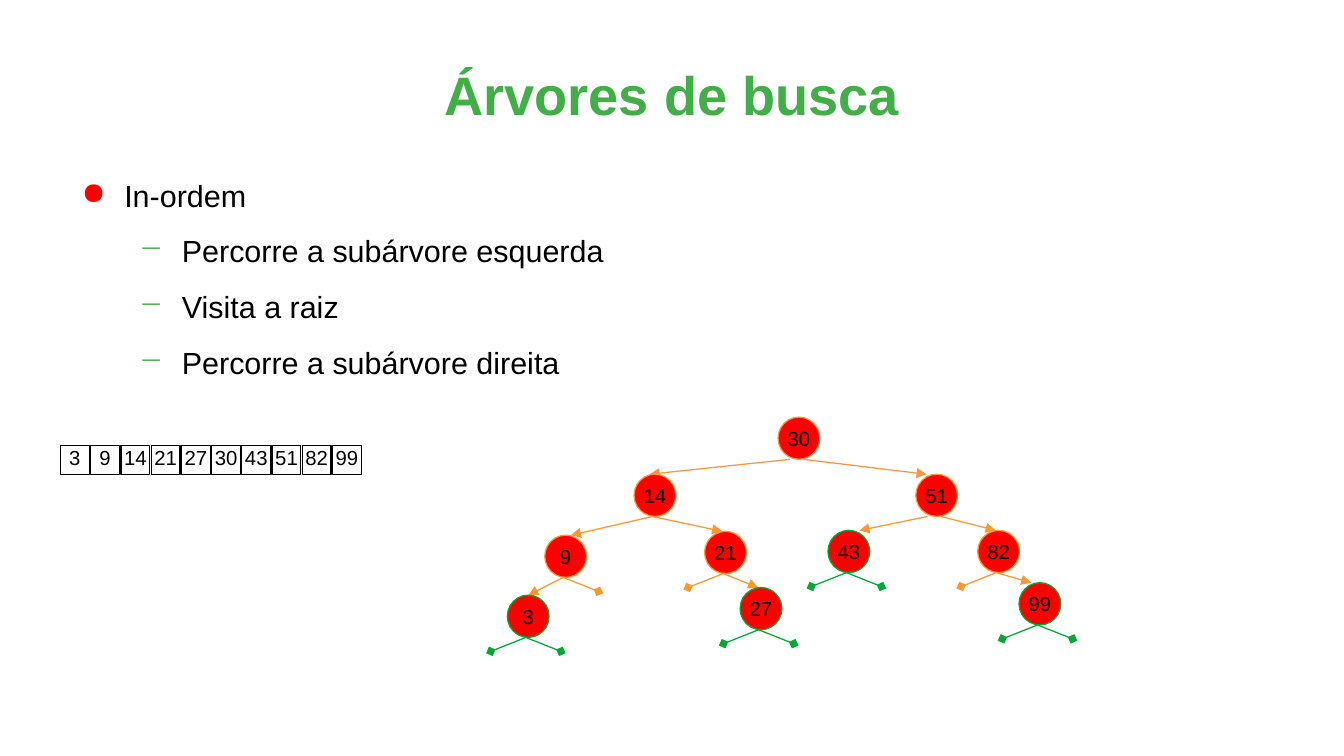
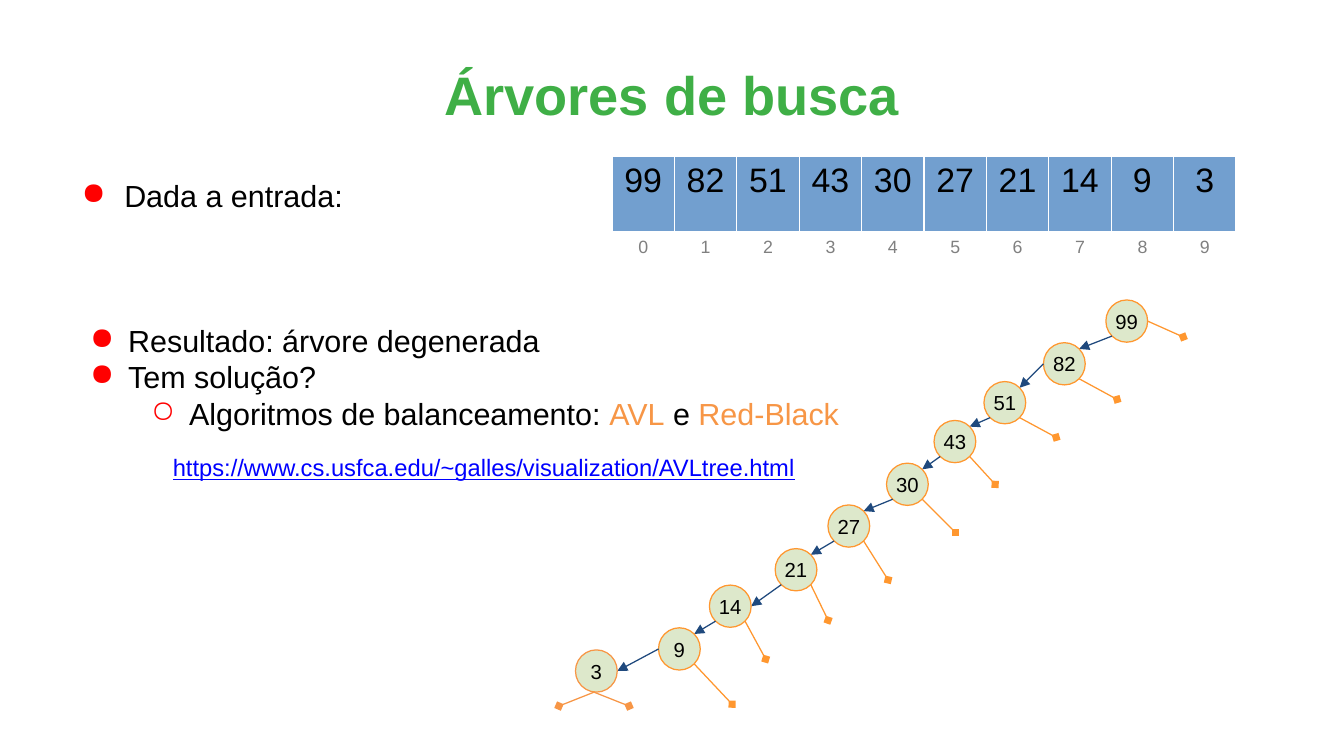
"""Builds two slides on search trees: in-order traversal and the degenerate tree."""
from dataclasses import dataclass
from math import cos, radians, sin

from lxml.etree import SubElement
from pptx import Presentation
from pptx.dml.color import RGBColor
from pptx.enum.shapes import MSO_CONNECTOR, MSO_SHAPE
from pptx.enum.text import MSO_ANCHOR, MSO_AUTO_SIZE, PP_ALIGN
from pptx.oxml import parse_xml
from pptx.oxml.ns import nsdecls, qn
from pptx.util import Cm, Pt


@dataclass(frozen=True)
class Theme:
    font: str = "Arial"
    green: str = "3FAF46"
    leaf: str = "00A933"
    red: str = "FF0000"
    orange: str = "FF972F"
    accent: str = "F79646"
    navy: str = "1F497D"
    pale: str = "DDE8CB"
    blue: str = "729FCF"
    link: str = "0000FF"
    grey: str = "808080"
    black: str = "000000"
    white: str = "FFFFFF"
    title: float = 32
    body: float = 18
    entry: float = 20
    address: float = 14
    node: float = 12
    index: float = 10.5
    line: float = 0.75


THEME = Theme()
SLIDE_SIZE = (28, 15.75)
TITLE = "Árvores de busca"
TITLE_BOX = (1.4, 0.64, 25.2, 2.64)
BODY_BOX = (1.4, 3.68, 25.2, 5.8)
NODE_W, NODE_H = 0.87, 0.88
STUB_DX, STUB_DY = 0.73, 0.29

BULLETS = {
    "topic": (0, 1.19, -0.89, 0, "●", THEME.red),
    "step": (1, 2.39, -0.89, 11.3, "−", THEME.green),
    "result": (0, 1.27, -0.79, 0, "●", THEME.red),
    "result_after_gap": (0, 1.27, -0.79, 64, "●", THEME.red),
    "detail": (1, 2.54, -0.79, 0, "○", THEME.red),
}

TRAVERSAL = [
    ("topic", [("In-ordem", THEME.black)]),
    ("step", [("Percorre a subárvore esquerda", THEME.black)]),
    ("step", [("Visita a raiz", THEME.black)]),
    ("step", [("Percorre a subárvore direita", THEME.black)]),
]
DEGENERATE = [
    ("topic", [("Dada a entrada:", THEME.black)]),
    ("result_after_gap", [("Resultado: árvore degenerada", THEME.black)]),
    ("result", [("Tem solução?", THEME.black)]),
    ("detail", [("Algoritmos de balanceamento: ", THEME.black), ("AVL", THEME.accent),
                (" e ", THEME.black), ("Red-Black", THEME.accent)]),
]
ADDRESS = "https://www.cs.usfca.edu/~galles/visualization/AVLtree.html"

VISITED = [3, 9, 14, 21, 27, 30, 43, 51, 82, 99]
ENTRIES = VISITED[::-1]

# value: left, top, outline, children, reach of each branch, gap between branches
SEARCH_TREE = {
    30: (16.21, 8.69, THEME.accent, (14, 51), (2.92, 2.57), 0.14),
    51: (19.08, 9.88, THEME.orange, (43, 82), (1.42, 1.14), 0.14),
    14: (13.21, 9.88, THEME.orange, (9, 21), (1.7, 1.45), 0),
    43: (17.25, 11.05, THEME.leaf, (None, None), (STUB_DX, STUB_DX), 0),
    82: (20.37, 11.05, THEME.orange, (None, 99), (STUB_DX, STUB_DX), 0),
    21: (14.68, 11.07, THEME.orange, (None, 27), (STUB_DX, STUB_DX), 0),
    9: (11.35, 11.15, THEME.orange, (3, None), (STUB_DX, STUB_DX), 0),
    3: (10.57, 12.4, THEME.leaf, (None, None), (STUB_DX, STUB_DX), 0),
    27: (15.42, 12.24, THEME.leaf, (None, None), (STUB_DX, STUB_DX), 0),
    99: (21.23, 12.14, THEME.leaf, (None, None), (STUB_DX, STUB_DX), 0),
}

RIGHT, LOWER_RIGHT, LOWER_LEFT, LEFT, UPPER_RIGHT = 0, 45, 135, 180, -45
CHAIN = [
    (99, 23.04, 6.25, UPPER_RIGHT, LOWER_LEFT, RIGHT, (0.74, 0.33)),
    (82, 21.74, 7.14, UPPER_RIGHT, LEFT, LOWER_RIGHT, (0.79, 0.43)),
    (51, 20.5, 7.95, UPPER_RIGHT, LOWER_LEFT, LOWER_RIGHT, (0.76, 0.41)),
    (43, 19.46, 8.76, UPPER_RIGHT, LOWER_LEFT, LOWER_RIGHT, (0.53, 0.58)),
    (30, 18.47, 9.65, UPPER_RIGHT, LOWER_LEFT, LOWER_RIGHT, (0.69, 0.69)),
    (27, 17.25, 10.52, UPPER_RIGHT, LOWER_LEFT, LOWER_RIGHT, (0.51, 0.81)),
    (21, 16.15, 11.43, UPPER_RIGHT, LOWER_LEFT, LOWER_RIGHT, (0.36, 0.74)),
    (14, 14.78, 12.19, RIGHT, LOWER_LEFT, LOWER_RIGHT, (0.43, 0.79)),
    (9, 13.72, 13.08, UPPER_RIGHT, LEFT, LOWER_RIGHT, (0.79, 0.84)),
]
LAST_LINK = (3, 11.99, 13.54, RIGHT)


def rgb(code):
    return RGBColor.from_string(code)


def cm(*lengths):
    return [Cm(length) for length in lengths]


def add_run(paragraph, text, size, color, bold=False, underline=False):
    run = paragraph.add_run()
    run.text = str(text)
    font = run.font
    font.name, font.size, font.bold, font.underline = THEME.font, Pt(size), bold, underline
    font.color.rgb = rgb(color)


def set_frame(frame, inset=0, anchor=MSO_ANCHOR.TOP, wrap=True):
    frame.word_wrap = wrap
    frame.auto_size = MSO_AUTO_SIZE.NONE
    frame.vertical_anchor = anchor
    frame.margin_left = frame.margin_right = frame.margin_top = frame.margin_bottom = Cm(inset)
    return frame.paragraphs[0]


def add_titled_slide(deck):
    slide = deck.slides.add_slide(deck.slide_layouts[5])
    title = slide.shapes.title
    title.left, title.top, title.width, title.height = cm(*TITLE_BOX)
    paragraph = set_frame(title.text_frame, anchor=MSO_ANCHOR.MIDDLE)
    paragraph.alignment = PP_ALIGN.CENTER
    add_run(paragraph, TITLE, THEME.title, THEME.green, bold=True)
    return slide.shapes


def set_bullet(paragraph, bullet):
    level, margin, indent, before, mark, color = BULLETS[bullet]
    paragraph.level = level
    paragraph.space_before = Pt(before)
    properties = paragraph._p.get_or_add_pPr()
    properties.set("marL", str(Cm(margin)))
    properties.set("indent", str(Cm(indent)))
    SubElement(SubElement(properties, qn("a:buClr")), qn("a:srgbClr")).set("val", color)
    SubElement(properties, qn("a:buChar")).set("char", mark)


def add_body(shapes, items):
    frame = shapes.add_textbox(*cm(*BODY_BOX)).text_frame
    paragraph = set_frame(frame)
    for number, (bullet, runs) in enumerate(items):
        if number:
            paragraph = frame.add_paragraph()
        set_bullet(paragraph, bullet)
        for text, color in runs:
            add_run(paragraph, text, THEME.body, color)


def add_value(shapes, preset, box, value, outline, fill=None, anchor=MSO_ANCHOR.MIDDLE):
    holder = shapes.add_shape(preset, *cm(*box))
    holder.shadow.inherit = False
    if fill:
        holder.fill.solid()
        holder.fill.fore_color.rgb = rgb(fill)
    else:
        holder.fill.background()
    holder.line.color.rgb = rgb(outline)
    holder.line.width = Pt(THEME.line)
    paragraph = set_frame(holder.text_frame, anchor=anchor, wrap=False)
    paragraph.alignment = PP_ALIGN.CENTER
    add_run(paragraph, value, THEME.node, THEME.black)


def add_node(shapes, value, left, top, outline, fill):
    add_value(shapes, MSO_SHAPE.OVAL, (left, top, NODE_W, NODE_H), value, outline, fill)


def add_branch(shapes, start, end, color, head):
    branch = shapes.add_connector(MSO_CONNECTOR.STRAIGHT, *cm(*start, *end))
    branch.line.color.rgb = rgb(color)
    branch.line.width = Pt(THEME.line)
    SubElement(branch.line._get_or_add_ln(), qn("a:tailEnd")).set("type", head)
    SubElement(branch._element.spPr, qn("a:effectLst"))


def add_fork(shapes, left, top, color, child_tops=(None, None),
             reaches=(STUB_DX, STUB_DX), gap=0):
    base = top + NODE_H
    for side, child_top, reach in zip((-1, 1), child_tops, reaches):
        x = left + NODE_W / 2 - 0.05 + side * gap
        head = "triangle" if child_top else "diamond"
        end = (x + side * reach, child_top or base + STUB_DY)
        add_branch(shapes, (x, base), end, color, head)


def add_search_tree(shapes):
    tree = shapes.add_group_shape().shapes
    for value, (left, top, outline, children, reaches, gap) in SEARCH_TREE.items():
        add_node(tree, value, left, top, outline, THEME.red)
        child_tops = [SEARCH_TREE[child][1] if child else None for child in children]
        add_fork(tree, left, top, outline, child_tops, reaches, gap)


def rim(left, top, angle):
    turn = radians(angle)
    return left + NODE_W / 2 * (1 + cos(turn)), top + NODE_H / 2 * (1 + sin(turn))


def add_chain(shapes):
    followers = [link[1:4] for link in CHAIN[1:]] + [LAST_LINK[1:]]
    for link, follower in zip(CHAIN, followers):
        value, left, top, _, way_out, stub_side, (dx, dy) = link
        add_node(shapes, value, left, top, THEME.orange, THEME.pale)
        add_branch(shapes, rim(left, top, way_out), rim(*follower), THEME.navy, "triangle")
        x, y = rim(left, top, stub_side)
        add_branch(shapes, (x, y), (x + dx, y + dy), THEME.orange, "diamond")
    value, left, top, _ = LAST_LINK
    add_node(shapes, value, left, top, THEME.accent, THEME.pale)
    add_fork(shapes, left, top, THEME.accent)


def add_visited(shapes, left=1.26, top=9.28, size=0.6, step=0.63):
    for place, value in enumerate(VISITED):
        add_value(shapes, MSO_SHAPE.RECTANGLE, (left + place * step, top, size, size),
                  value, THEME.black, anchor=MSO_ANCHOR.TOP)


def set_borders(cell):
    properties = cell._tc.get_or_add_tcPr()
    for place, side in enumerate(("lnL", "lnR", "lnT", "lnB")):
        properties.insert(place, parse_xml(
            f'<a:{side} {nsdecls("a")} w="{Pt(THEME.line)}"><a:solidFill>'
            f'<a:srgbClr val="{THEME.white}"/></a:solidFill></a:{side}>'))


def add_entries(shapes, left=12.75, top=3.25, column=1.3):
    rows = [(ENTRIES, 1.57, THEME.entry, THEME.black, THEME.blue),
            (range(len(ENTRIES)), 0.89, THEME.index, THEME.grey, THEME.white)]
    height = sum(row[1] for row in rows)
    box = cm(left, top, column * len(ENTRIES), height)
    grid = shapes.add_table(len(rows), len(ENTRIES), *box).table
    grid.first_row = grid.horz_banding = False
    for grid_column in grid.columns:
        grid_column.width = Cm(column)
    for line, (values, row_height, size, color, fill) in enumerate(rows):
        grid.rows[line].height = Cm(row_height)
        for place, value in enumerate(values):
            cell = grid.cell(line, place)
            cell.fill.solid()
            cell.fill.fore_color.rgb = rgb(fill)
            set_borders(cell)
            paragraph = cell.text_frame.paragraphs[0]
            paragraph.alignment = PP_ALIGN.CENTER
            add_run(paragraph, value, size, color)


def add_address(shapes):
    frame = shapes.add_textbox(*cm(3.35, 9.19, 14, 1.17)).text_frame
    add_run(set_frame(frame, inset=0.25), ADDRESS, THEME.address, THEME.link, underline=True)


def main():
    deck = Presentation()
    deck.slide_width, deck.slide_height = cm(*SLIDE_SIZE)

    traversal = add_titled_slide(deck)
    add_body(traversal, TRAVERSAL)
    add_search_tree(traversal)
    add_visited(traversal)

    degenerate = add_titled_slide(deck)
    add_body(degenerate, DEGENERATE)
    add_entries(degenerate)
    add_chain(degenerate)
    add_address(degenerate)

    deck.save("out.pptx")


if __name__ == "__main__":
    main()
